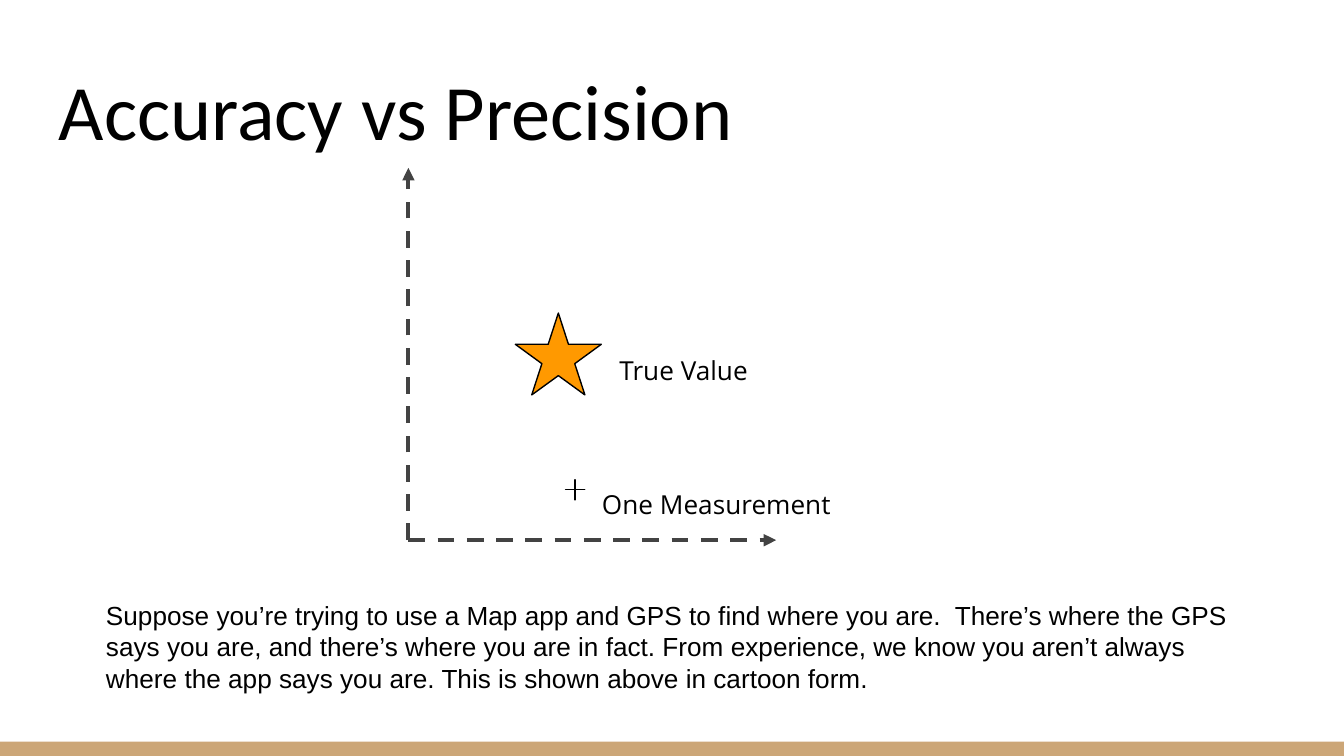
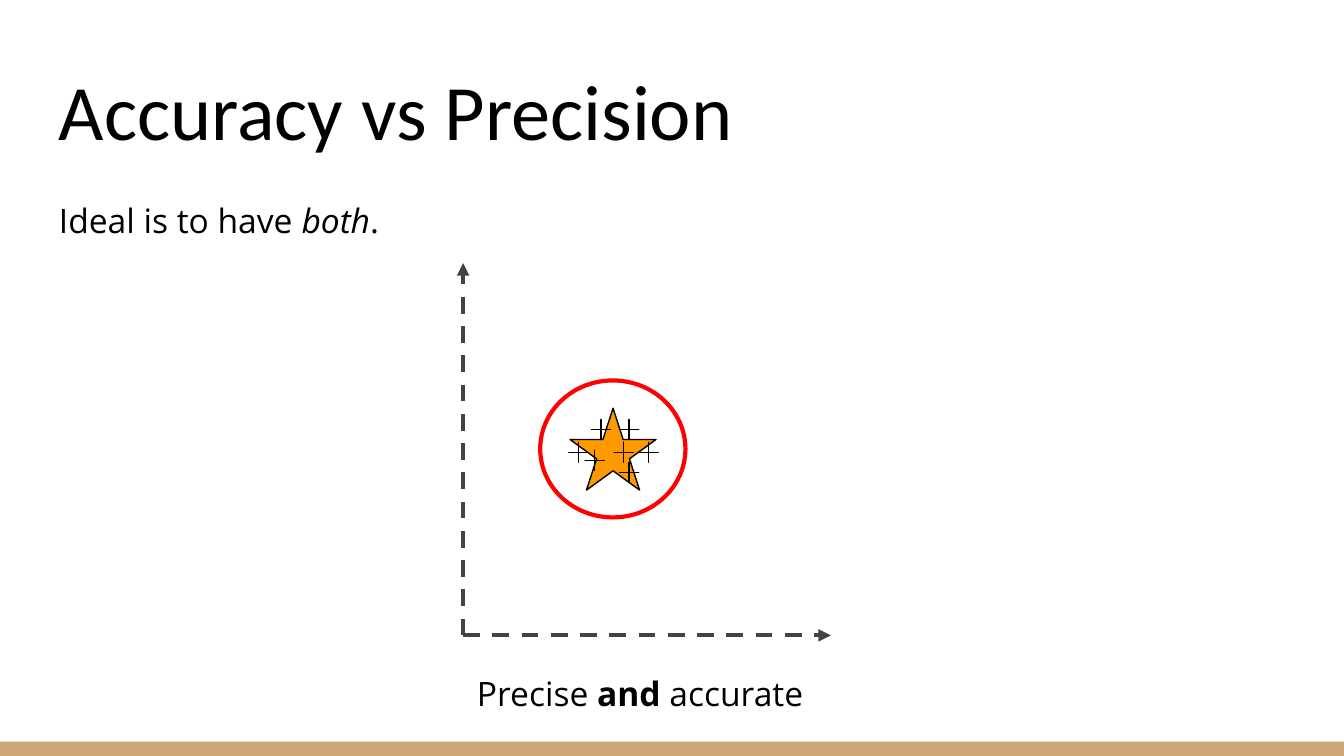
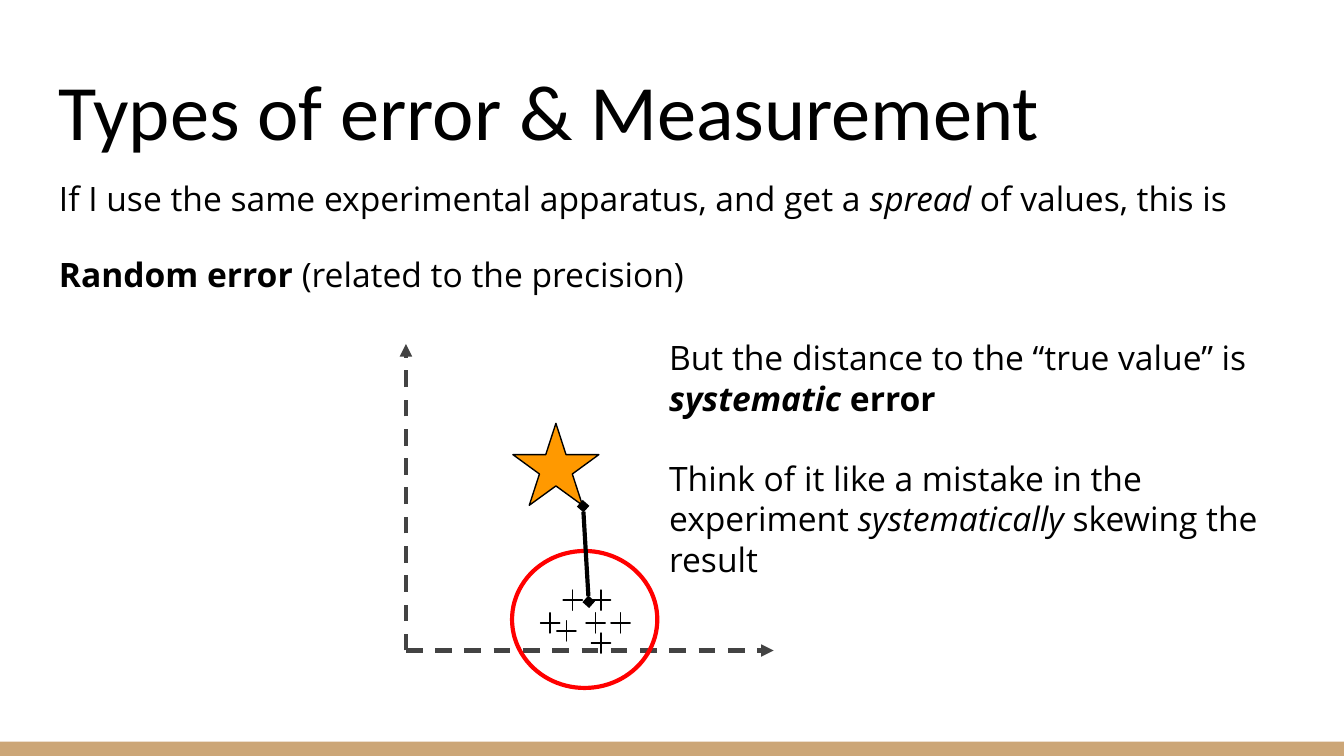
from lxml import etree
from pptx import Presentation
from pptx.dml.color import RGBColor
from pptx.enum import dml, shapes, text
from pptx.oxml.ns import qn
from pptx.util import Pt

BLACK = RGBColor(0x00, 0x00, 0x00)
TAN = RGBColor(0xCC, 0xA6, 0x77)
GREY = RGBColor(0x43, 0x43, 0x43)
ORANGE = RGBColor(0xFF, 0x99, 0x00)
RED = RGBColor(0xFF, 0x00, 0x00)

WIDTH, HEIGHT, BAND = 720, 405, 7.6
AXIS_X = 197
STAR_OFFSET, STAR_SIZE = (57.3, -121.7), (46.1, 43.9)
MARK_SIZE = (10.3, 10.8)
CIRCLE_SIZE = (77.8, 73.4)
CLUSTER = [(27.4, 20.9), (39.6, 33.1), (15.3, 33.1), (42.5, 20.9),
           (24, 37.4), (42.5, 43.9), (53, 33.1)]

B, I = {"bold": True}, {"italic": True}
BI = {**B, **I}
BODY = {"size": Pt(18), "name": "Open Sans"}
LABEL = {"size": Pt(14), "name": "Open Sans"}
PROSE = {"size": Pt(14), "name": "Arial"}
TITLE = {"size": Pt(42), "name": "Calibri"}

SLIDES = [
    {
        "title": "Accuracy vs Precision",
        "origin": (218.8, 289.4), "axis_y": 199.4,
        "marks": [(303, 257)],
        "texts": [
            ((324.7, 182.9, 176.4, 65.5), LABEL, {},
             [([("True Value", {})], {})]),
            ((315.4, 254.2, 195.1, 23), LABEL, {},
             [([("One Measurement", {})], {})]),
            ((49.7, 317.5, 632.9, 58.3), PROSE, {"margin_top": Pt(3.6), "margin_bottom": Pt(3.6)},
             [([("Suppose you’re trying to use a Map app and GPS to find where you are.  "
                 "There’s where the GPS says you are, and there’s where you are in fact. "
                 "From experience, we know you aren’t always where the app says you are. "
                 "This is shown above in cartoon form.", {})], {})]),
        ],
    },
    {
        "title": "Accuracy vs Precision",
        "origin": (248.1, 340.4), "axis_y": 199.4,
        "circle": (289.4, 203.8),
        "texts": [
            ((24.5, 96.5, 671, 264.2), BODY, {},
             [([("Ideal is to have ", {}), ("both", I), (".", {})],
               {"line_spacing": 1.15, "space_after": Pt(16)})]),
            ((248.4, 353.5, 332.6, 65.5), BODY, {},
             [([("Precise ", {}), ("and", B), (" accurate", {})], {})]),
        ],
    },
    {
        "title": "Types of error & Measurement",
        "origin": (217.5, 348.5), "axis_y": 164.2,
        "circle": (274.3, 295.2),
        "gap": ((315.4, 322.4), (312.4, 271.2)),
        "texts": [
            ((24.5, 85, 671, 264.2), BODY, {},
             [([("If I use the same experimental apparatus, and get a ", {}),
                ("spread", I), (" of values, this is", {})], {"line_spacing": 1.15}),
              ([("Random error ", B), ("(related to the precision)", {})],
               {"line_spacing": 1.15, "space_before": Pt(16), "space_after": Pt(16)})]),
            ((351.4, 173.5, 350.6, 92.2), BODY, {},
             [([("But the distance to the “true value” is ", {}),
                ("systematic ", BI), ("error", B)], {}),
              ([("Think of it like a mistake in the experiment ", {}),
                ("systematically", I), (" skewing the result", {})],
               {"space_before": Pt(21.5)})]),
        ],
    },
]


def assign(target, values):
    for name, value in values.items():
        setattr(target, name, value)


def add_text(s, box, font, frame, paragraphs):
    tf = s.shapes.add_textbox(*map(Pt, box)).text_frame
    margins = {f"margin_{side}": Pt(7.2) for side in ("left", "top", "right", "bottom")}
    assign(tf, {"word_wrap": True, **margins, **frame})
    for i, (runs, layout) in enumerate(paragraphs):
        p = tf.add_paragraph() if i else tf.paragraphs[0]
        assign(p, layout)
        for words, style in runs:
            r = p.add_run()
            r.text = words
            assign(r.font, {**font, **style})
            r.font.color.rgb = BLACK


def add_figure(s, kind, position, size, fill=None, line=None, width=0.75):
    sp = s.shapes.add_shape(kind, *map(Pt, (*position, *size)))
    sp.shadow.inherit = False
    if fill is None:
        sp.fill.background()
    else:
        sp.fill.solid()
        sp.fill.fore_color.rgb = fill
    if line is None:
        sp.line.fill.background()
    else:
        sp.line.color.rgb = line
        sp.line.width = Pt(width)
    return sp


def add_line(s, start, end, color, ends, dash=None):
    cx = s.shapes.add_connector(shapes.MSO_CONNECTOR.STRAIGHT, *map(Pt, (*start, *end)))
    cx.line.color.rgb = color
    cx.line.width = Pt(2.25)
    if dash:
        cx.line.dash_style = dash
    ln = cx.line._get_or_add_ln()
    for tag, kind in ends.items():
        etree.SubElement(ln, qn(f"a:{tag}"), type=kind)
    etree.SubElement(cx._element.spPr, qn("a:effectLst"))


def add_plot(s, origin, axis_y):
    x, y = origin
    for tip in ((x, y - axis_y), (x + AXIS_X, y)):
        add_line(s, origin, tip, GREY, {"tailEnd": "triangle"}, dml.MSO_LINE.DASH)
    add_figure(s, shapes.MSO_SHAPE.STAR_5_POINT,
               (x + STAR_OFFSET[0], y + STAR_OFFSET[1]), STAR_SIZE, ORANGE, BLACK)


def add_mark(s, position):
    mark = add_figure(s, shapes.MSO_SHAPE.STAR_4_POINT, position, MARK_SIZE, TAN, BLACK)
    mark.adjustments[0] = 0


def build_slide(prs, content):
    s = prs.slides.add_slide(prs.slide_layouts[6])
    add_figure(s, shapes.MSO_SHAPE.RECTANGLE, (0, HEIGHT - BAND), (WIDTH, BAND), TAN)
    add_text(s, (24.5, 25.2, 671, 65.5), TITLE,
             {"vertical_anchor": text.MSO_ANCHOR.BOTTOM},
             [([(content["title"], {})], {})])
    add_plot(s, content["origin"], content["axis_y"])
    for position in content.get("marks", []):
        add_mark(s, position)
    if "circle" in content:
        left, top = content["circle"]
        for dx, dy in CLUSTER:
            add_mark(s, (left + dx, top + dy))
        add_figure(s, shapes.MSO_SHAPE.OVAL, (left, top), CIRCLE_SIZE, line=RED, width=2.25)
    if "gap" in content:
        add_line(s, *content["gap"], BLACK, {"headEnd": "diamond", "tailEnd": "diamond"})
    for block in content["texts"]:
        add_text(s, *block)


def main():
    prs = Presentation()
    prs.slide_width, prs.slide_height = Pt(WIDTH), Pt(HEIGHT)
    for content in SLIDES:
        build_slide(prs, content)
    prs.save("out.pptx")


if __name__ == "__main__":
    main()
